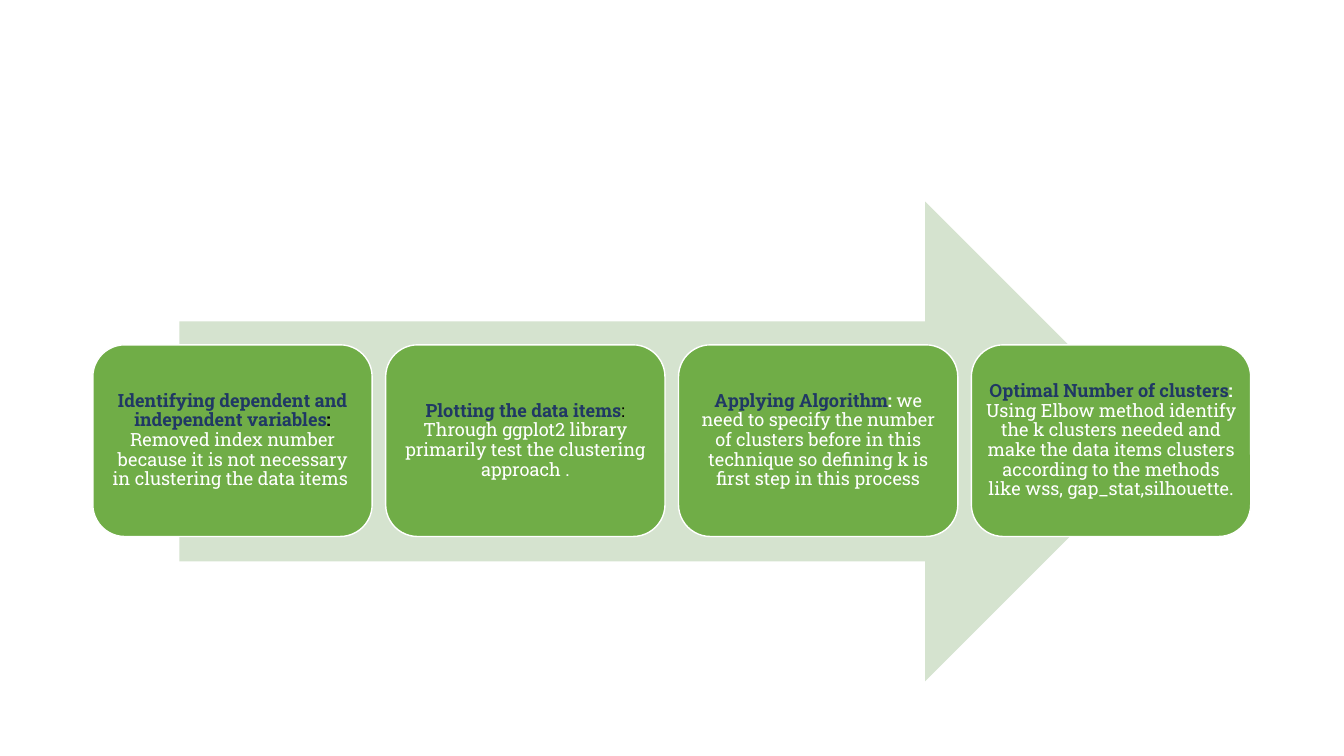
from pptx import Presentation
from pptx.dml.color import RGBColor
from pptx.enum import shapes, text
from pptx.util import Cm, Pt

NAVY, BLACK, WHITE = "203864", "000000", "FFFFFF"
GREEN, PALE = "70AD47", "D5E3CF"
SLAB = "Roboto Slab"

STEPS = [
    [("Identifying dependent and independent variables", NAVY, True, SLAB),
     (": ", BLACK, True, SLAB),
     ("Removed index number because it is not necessary in clustering "
      "the data items ", WHITE, False, SLAB)],
    [("Plotting the data items", NAVY, True, SLAB),
     (": ", BLACK, False, SLAB),
     ("Through ggplot2 library primarily test the clustering approach .",
      WHITE, False, SLAB)],
    [("Applying Algorithm", NAVY, True, SLAB),
     (": ", WHITE, True, SLAB),
     ("we need to specify the number of clusters before in this technique "
      "so defining k is first step in this process", WHITE, False, SLAB)],
    [("Optimal Number of clusters", NAVY, True, SLAB),
     (": ", WHITE, True, SLAB),
     ("Using Elbow method identify the k clusters needed and make the data "
      "items clusters according to the methods like wss, "
      "gap_stat,silhouette", WHITE, False, SLAB),
     (".", WHITE, False, "Calibri")],
]


def paint(target, color):
    """Give a fill or line format one solid colour."""
    target.solid()
    target.fore_color.rgb = RGBColor.from_string(color)


def block(slide, kind, left, top, width, height, color):
    """Add a flat preset shape without a line, placed in centimetres."""
    shape = slide.shapes.add_shape(kind, Cm(left), Cm(top), Cm(width), Cm(height))
    shape.shadow.inherit = False
    paint(shape.fill, color)
    shape.line.fill.background()
    return shape


def write(shape, runs):
    """Set centred text in a shape, run by run."""
    frame = shape.text_frame
    frame.word_wrap = True
    frame.vertical_anchor = text.MSO_ANCHOR.MIDDLE
    frame.margin_left = frame.margin_right = Cm(0.13)
    frame.margin_top = frame.margin_bottom = Cm(0.13)
    para = frame.paragraphs[0]
    para.alignment = text.PP_ALIGN.CENTER
    para.line_spacing = 0.9
    for words, color, bold, face in runs:
        run = para.add_run()
        run.text = words
        run.font.size = Pt(13)
        run.font.name = face
        run.font.bold = bold
        run.font.color.rgb = RGBColor.from_string(color)


def step(slide, left, runs):
    """Add one rounded step box with its text."""
    box = block(slide, shapes.MSO_SHAPE.ROUNDED_RECTANGLE,
                left, 8.69, 7.04, 4.83, GREEN)
    paint(box.line.fill, WHITE)
    box.line.width = Pt(1)
    write(box, runs)


def main():
    """Build the process slide and save it."""
    deck = Presentation()
    deck.slide_width, deck.slide_height = Cm(33.87), Cm(19.05)
    slide = deck.slides.add_slide(deck.slide_layouts[6])
    block(slide, shapes.MSO_SHAPE.RIGHT_ARROW, 4.52, 5.08, 24.84, 12.09, PALE)
    for i, runs in enumerate(STEPS):
        step(slide, 2.34 + i * 7.38, runs)
    deck.save("out.pptx")


if __name__ == "__main__":
    main()
